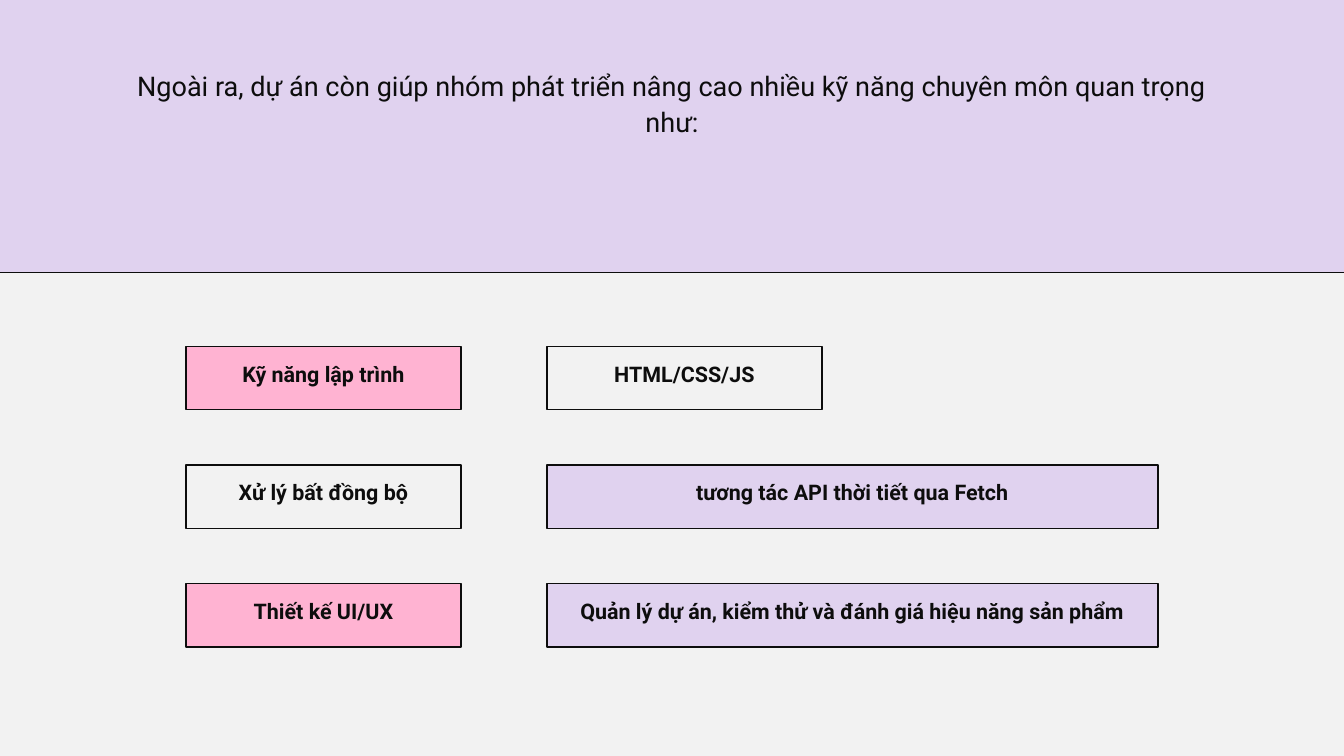
from dataclasses import dataclass

from pptx import Presentation
from pptx.dml.color import RGBColor
from pptx.enum.shapes import MSO_SHAPE
from pptx.enum.text import MSO_ANCHOR, PP_ALIGN
from pptx.util import Pt

RECTANGLE = MSO_SHAPE.RECTANGLE
CENTER = PP_ALIGN.CENTER
TOP, MIDDLE = MSO_ANCHOR.TOP, MSO_ANCHOR.MIDDLE


@dataclass(frozen=True)
class Theme:
    font: str = "Roboto"
    ink: RGBColor = RGBColor(0x0D, 0x0D, 0x0D)
    paper: RGBColor = RGBColor(0xF2, 0xF2, 0xF2)
    lilac: RGBColor = RGBColor(0xE0, 0xD2, 0xEF)
    pink: RGBColor = RGBColor(0xFF, 0xB3, 0xD2)
    outline: float = 1.5
    intro_size: float = 29
    intro_leading: float = 37.7
    label_size: float = 23
    label_leading: float = 32.2


THEME = Theme()

SKILLS = [
    (("Kỹ năng lập trình", THEME.pink, 294.5), ("HTML/CSS/JS", THEME.paper, 294.5)),
    (("Xử lý bất đồng bộ", THEME.paper, 294.5),
     ("tương tác API thời tiết qua Fetch", THEME.lilac, 654.5)),
    (("Thiết kế UI/UX", THEME.pink, 294.5),
     ("Quản lý dự án, kiểm thử và đánh giá hiệu năng sản phẩm", THEME.lilac, 654.5)),
]


def add_panel(s, x, y, w, h, color):
    sp = s.shapes.add_shape(RECTANGLE, Pt(x), Pt(y), Pt(w), Pt(h))
    sp.shadow.inherit = False
    sp.fill.solid()
    sp.fill.fore_color.rgb = color
    sp.line.color.rgb = THEME.ink
    sp.line.width = Pt(THEME.outline)
    return sp


def write(sp, text, size, leading, bold, anchor, insets):
    tf = sp.text_frame
    tf.word_wrap = True
    tf.vertical_anchor = anchor
    tf.margin_left, tf.margin_top, tf.margin_right, tf.margin_bottom = map(Pt, insets)
    tf.text = text
    p = tf.paragraphs[0]
    p.alignment = CENTER
    p.line_spacing = Pt(leading)
    font = p.runs[0].font
    font.name = THEME.font
    font.size = Pt(size)
    font.bold = bold
    font.color.rgb = THEME.ink


def add_intro(s, x, y, w, h, text):
    add_panel(s, x, y, w, h, THEME.lilac)
    box = s.shapes.add_textbox(Pt(x + 148.5), Pt(y + 90), Pt(w - 298), Pt(74))
    write(box, text, THEME.intro_size, THEME.intro_leading, False, TOP, (0, 0, 0, 0))


def add_skills(s, x, y, w, h, rows):
    row_h = 68
    pitch = (h - row_h) / (len(rows) - 1)
    for i, (skill, detail) in enumerate(rows):
        top = y + i * pitch
        for (text, color, width), left in ((skill, x), (detail, x + w - 654.5)):
            sp = add_panel(s, left, top, width, row_h, color)
            write(sp, text, THEME.label_size, THEME.label_leading, True, MIDDLE,
                  (4, 4, 4, 18))


def main():
    prs = Presentation()
    prs.slide_width, prs.slide_height = Pt(1440), Pt(810)
    s = prs.slides.add_slide(prs.slide_layouts[6])
    s.background.fill.solid()
    s.background.fill.fore_color.rgb = THEME.paper
    add_intro(s, -16.5, -18, 1474, 310.3,
              "Ngoài ra, dự án còn giúp nhóm phát triển nâng cao nhiều kỹ năng "
              "chuyên môn quan trọng như:")
    add_skills(s, 199.4, 371, 1041.2, 322.3, SKILLS)
    prs.save("out.pptx")


if __name__ == "__main__":
    main()
